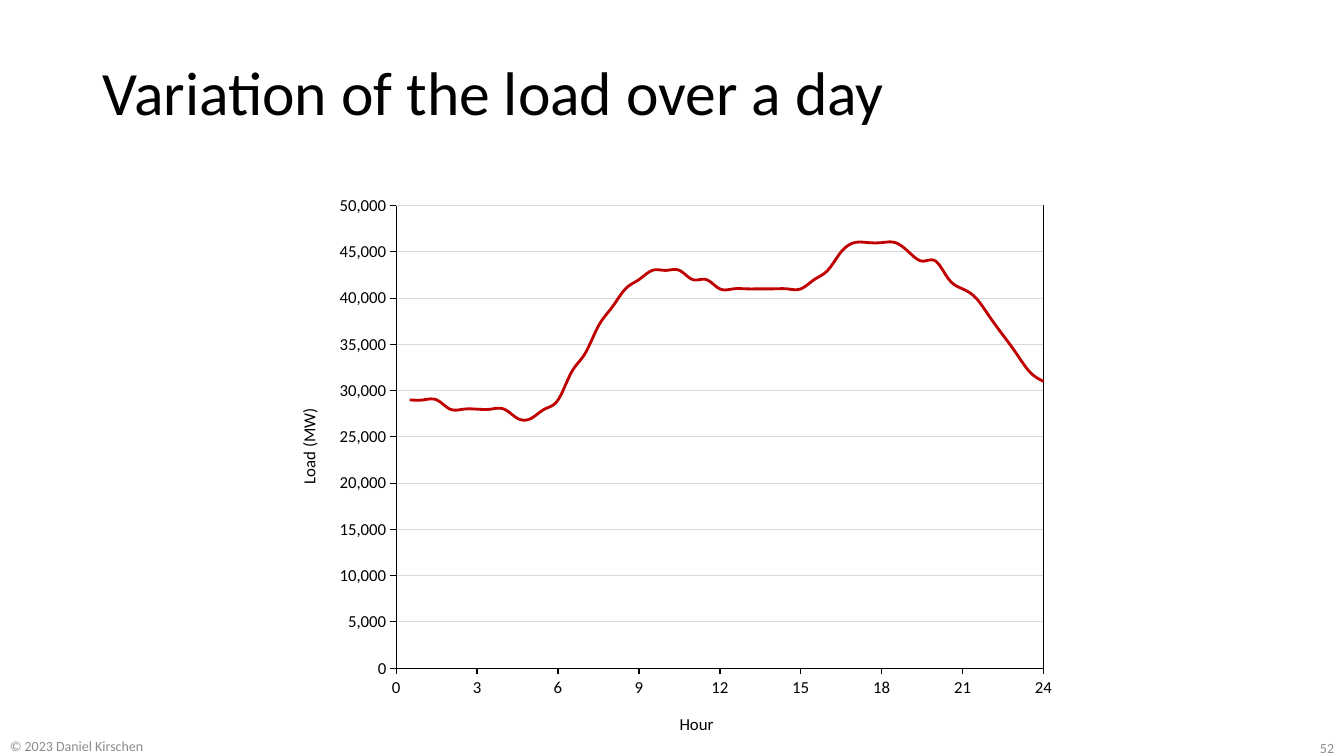
from lxml import etree
from pptx import Presentation
from pptx import util as u
from pptx.chart import data as chart_data
from pptx.dml.color import RGBColor
from pptx.enum import chart as chart_enum, text
from pptx.oxml import ns

BLACK = RGBColor(0x00, 0x00, 0x00)
GREY = RGBColor(0x8C, 0x8C, 0x8C)
GRID = RGBColor(0xD9, 0xD9, 0xD9)
RED = RGBColor(0xC0, 0x00, 0x00)
FONT = "Calibri"
CHART_WIDTH, CHART_HEIGHT = 7.86, 5.68

HALF_HOURLY_GIGAWATTS = [
    29, 29, 29, 28, 28, 28, 28, 28, 27, 27, 28, 29,
    32, 34, 37, 39, 41, 42, 43, 43, 43, 42, 42, 41,
    41, 41, 41, 41, 41, 41, 42, 43, 45, 46, 46, 46,
    46, 45, 44, 44, 42, 41, 40, 38, 36, 34, 32, 31,
]


def write(frame, words, size=12, color=BLACK, align=None):
    paragraph = frame.paragraphs[0]
    paragraph.alignment = align
    run = paragraph.add_run()
    run.text = words
    style(run.font, size, color)
    return paragraph


def style(font, size, color):
    font.name = FONT
    font.size = u.Pt(size)
    font.bold = False
    font.color.rgb = color


def chart_layout(left, top, width=None, height=None):
    layout = etree.Element(ns.qn("c:layout"))
    manual = etree.SubElement(layout, ns.qn("c:manualLayout"))
    settings = [("xMode", "edge"), ("yMode", "edge"),
                ("x", left / CHART_WIDTH), ("y", top / CHART_HEIGHT)]
    if width:
        settings = [("layoutTarget", "inner"), *settings,
                    ("w", width / CHART_WIDTH), ("h", height / CHART_HEIGHT)]
    for tag, value in settings:
        etree.SubElement(manual, ns.qn(f"c:{tag}")).set("val", str(value))
    return layout


def place(parent, layout, after=None):
    for old in parent.findall(ns.qn("c:layout")):
        parent.remove(old)
    position = 0 if after is None else parent.index(parent.find(ns.qn(after))) + 1
    parent.insert(position, layout)


class LoadSlide:
    def __init__(self, deck):
        self.slide = deck.slides.add_slide(deck.slide_layouts[6])

    def label(self, words, left, top, width, height, line_spacing=None, **fmt):
        box = self.slide.shapes.add_textbox(*map(u.Inches, (left, top, width, height)))
        frame = box.text_frame
        frame.word_wrap = True
        frame.margin_top = frame.margin_bottom = 0
        frame.vertical_anchor = text.MSO_ANCHOR.MIDDLE
        write(frame, words, **fmt).line_spacing = line_spacing

    def axis(self, axis, title, title_at, maximum, step, number_format, width):
        axis.minimum_scale, axis.maximum_scale, axis.major_unit = 0, maximum, step
        axis.major_tick_mark = chart_enum.XL_TICK_MARK.OUTSIDE
        axis.minor_tick_mark = chart_enum.XL_TICK_MARK.NONE
        axis.tick_labels.number_format = number_format
        axis.tick_labels.number_format_is_linked = False
        style(axis.tick_labels.font, 12, BLACK)
        axis.format.line.color.rgb = BLACK
        axis.format.line.width = u.Pt(width)
        write(axis.axis_title.text_frame, title)
        place(axis.axis_title._element, chart_layout(*title_at), after="c:tx")

    def load_curve(self, left, top):
        points = chart_data.XyChartData()
        load = points.add_series("Load")
        for half_hour, gigawatts in enumerate(HALF_HOURLY_GIGAWATTS, start=1):
            load.add_data_point(half_hour / 2, gigawatts * 1000)
        chart = self.slide.shapes.add_chart(
            chart_enum.XL_CHART_TYPE.XY_SCATTER_SMOOTH_NO_MARKERS,
            *map(u.Inches, (left, top, CHART_WIDTH, CHART_HEIGHT)), points).chart
        chart.has_legend = chart.has_title = False
        style(chart.font, 10, BLACK)
        chart.plots[0].vary_by_categories = False

        curve = chart.plots[0].series[0]
        curve._element.get_or_add_smooth().set("val", "1")
        curve.marker.style = chart_enum.XL_MARKER_STYLE.NONE
        curve.format.line.color.rgb = RED
        curve.format.line.width = u.Pt(2)

        self.axis(chart.category_axis, "Hour", (3.97, 5.22), 24, 3, "0", 1)
        self.axis(chart.value_axis, "Load (MW)", (0.18, 2.2), 50000, 5000, "#,##0", 0.75)
        chart.category_axis.has_major_gridlines = False
        grid = chart.value_axis.major_gridlines.format.line
        grid.color.rgb = GRID
        grid.width = u.Pt(0.75)

        plot_area = chart._chartSpace.chart.plotArea
        place(plot_area, chart_layout(1.19, 0.22, 6.42, 4.59))
        frame = etree.SubElement(plot_area, ns.qn("c:spPr"))
        etree.SubElement(frame, ns.qn("a:noFill"))
        border = etree.SubElement(frame, ns.qn("a:ln"), w=str(u.Pt(0.75)))
        fill = etree.SubElement(border, ns.qn("a:solidFill"))
        etree.SubElement(fill, ns.qn("a:srgbClr"), val=str(BLACK))


def main():
    deck = Presentation()
    deck.slide_width, deck.slide_height = u.Inches(13.33), u.Inches(7.5)
    page = LoadSlide(deck)
    page.label("Variation of the load over a day", 0.92, 0.4, 11.5, 1.1,
               size=44, line_spacing=0.9)
    page.load_curve(2.74, 1.82)
    page.label("© 2023 Daniel Kirschen", 0, 7.3, 3.64, 0.2, size=10, color=GREY)
    page.label("52", 10.33, 7.26, 3, 0.31, size=10, color=GREY,
               align=text.PP_ALIGN.RIGHT)
    deck.save("out.pptx")


if __name__ == "__main__":
    main()
